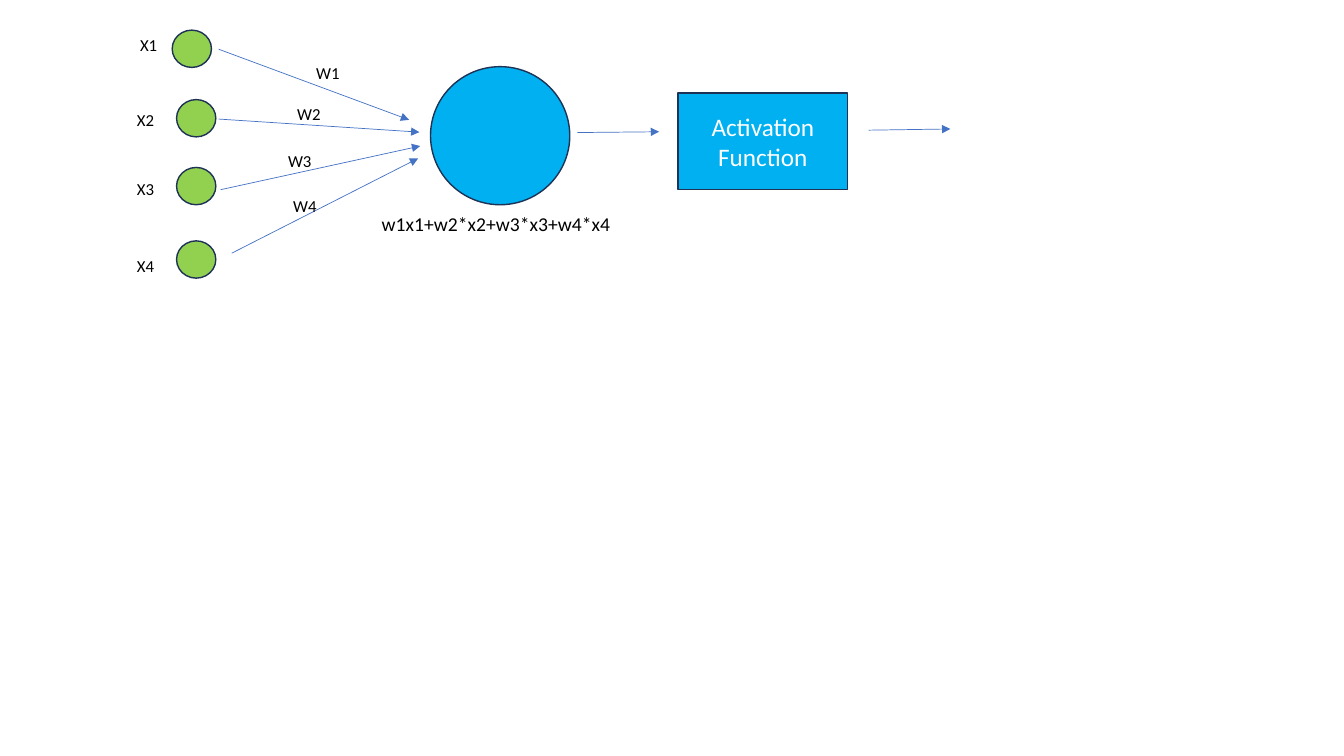
from lxml import etree
from pptx import Presentation
from pptx.dml.color import RGBColor
from pptx.enum import shapes, text
from pptx.oxml import ns
from pptx.util import Cm, Pt

BLUE, GREEN, OUTLINE, ARROW = "00B0F0", "92D050", "1E3256", "4472C4"


def paint(color_format, hex_color):
    color_format.rgb = RGBColor.from_string(hex_color)


def write(shape, words, size, hex_color):
    shape.text_frame.text = words
    paragraph = shape.text_frame.paragraphs[0]
    paragraph.font.name = "Calibri"
    paragraph.font.size = Pt(size)
    paint(paragraph.font.color, hex_color)
    return paragraph


prs = Presentation()
prs.slide_width, prs.slide_height = Cm(33.87), Cm(19.05)
slide = prs.slides.add_slide(prs.slide_layouts[6])

# Nodes: neuron, activation function, four inputs
kinds = shapes.MSO_SHAPE
nodes = [
    (kinds.OVAL, BLUE, 10.85, 1.68, 3.51, 3.48),
    (kinds.RECTANGLE, BLUE, 17.09, 2.34, 4.27, 2.44),
]
for left, top in [(4.34, 0.76), (4.45, 2.51), (4.45, 4.22), (4.45, 6.07)]:
    nodes.append((kinds.FLOWCHART_CONNECTOR, GREEN, left, top, 0.99, 0.94))

for kind, fill, *box in nodes:
    node = slide.shapes.add_shape(kind, *map(Cm, box))
    node.shadow.inherit = False
    node.fill.solid()
    paint(node.fill.fore_color, fill)
    paint(node.line.color, OUTLINE)
    node.line.width = Pt(1)
    if kind == kinds.RECTANGLE:
        node.text_frame.vertical_anchor = text.MSO_ANCHOR.MIDDLE
        activation = write(node, "Activation Function", 18, "FFFFFF")
        activation.alignment = text.PP_ALIGN.CENTER

# Arrows: four weighted inputs, neuron output, final output
for ends in [
    (5.51, 1.24, 10.31, 3.02),
    (5.51, 3.0, 10.57, 3.33),
    (5.56, 4.78, 10.59, 3.68),
    (5.84, 6.38, 10.54, 3.99),
    (14.55, 3.34, 16.61, 3.32),
    (21.89, 3.28, 23.95, 3.25),
]:
    arrow = slide.shapes.add_connector(
        shapes.MSO_CONNECTOR.STRAIGHT, *map(Cm, ends))
    paint(arrow.line.color, ARROW)
    arrow.line.width = Pt(0.5)
    etree.SubElement(arrow.line._get_or_add_ln(), ns.qn("a:tailEnd"), type="triangle")
    etree.SubElement(arrow._element.spPr, ns.qn("a:effectLst"))

# Labels: weights, inputs, weighted sum
labels = [("w1x1+w2*x2+w3*x3+w4*x4", 14, 9.37, 5.21, 8.43, 0.86)]
label_places = {
    "W": [(7.72, 1.45), (7.24, 2.49), (7.01, 3.68), (7.14, 4.8)],
    "X": [(3.28, 0.74), (3.2, 2.64), (3.2, 4.37), (3.2, 6.32)],
}
for letter, places in label_places.items():
    for number, (left, top) in enumerate(places, 1):
        labels.append((f"{letter}{number}", 12, left, top, 1.65, 0.76))

for words, size, *box in labels:
    label = slide.shapes.add_textbox(*map(Cm, box))
    label.text_frame.word_wrap = True
    label.text_frame.auto_size = text.MSO_AUTO_SIZE.SHAPE_TO_FIT_TEXT
    write(label, words, size, "000000")

prs.save("out.pptx")
